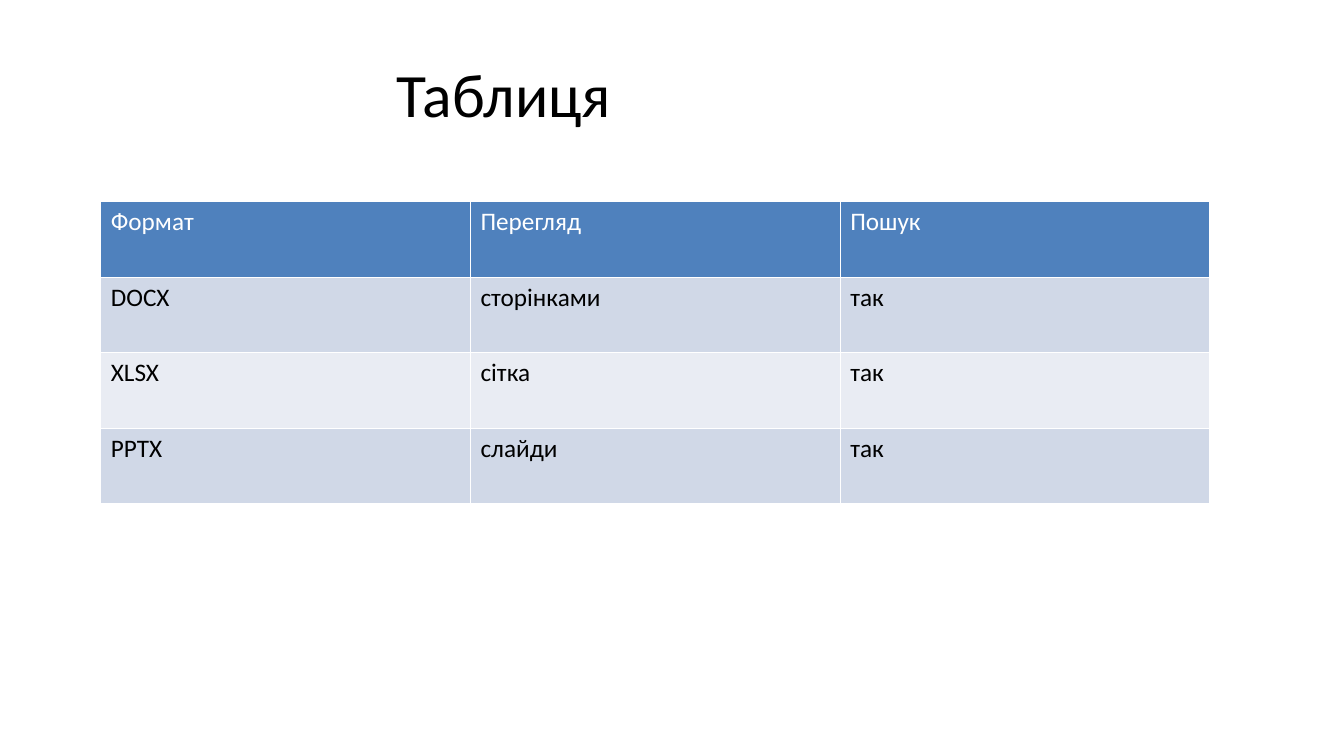
from lxml import etree
from pptx import Presentation
from pptx.dml.color import RGBColor
from pptx.enum.text import MSO_ANCHOR, PP_ALIGN
from pptx.oxml.ns import qn
from pptx.util import Inches, Pt

CENTER = PP_ALIGN.CENTER
MIDDLE = MSO_ANCHOR.MIDDLE

BLACK = RGBColor(0x00, 0x00, 0x00)
WHITE = RGBColor(0xFF, 0xFF, 0xFF)
HEADER_BLUE = RGBColor(0x4F, 0x81, 0xBD)
BAND_DARK = RGBColor(0xD0, 0xD8, 0xE7)
BAND_LIGHT = RGBColor(0xE9, 0xEC, 0xF3)

FORMAT_ROWS = [
    ("Формат", "Перегляд", "Пошук"),
    ("DOCX", "сторінками", "так"),
    ("XLSX", "сітка", "так"),
    ("PPTX", "слайди", "так"),
]


class SlideBuilder:
    font_name = "Calibri"
    title_size = Pt(44)
    cell_size = Pt(18)
    border_width = Pt(1)

    def __init__(self, slide):
        self.slide = slide

    def format_runs(self, paragraph, size, color):
        for run in paragraph.runs:
            run.font.name = self.font_name
            run.font.size = size
            run.font.bold = False
            run.font.color.rgb = color

    def add_title(self, text, left, top, width, height):
        shape = self.slide.shapes.add_textbox(left, top, width, height)
        text_frame = shape.text_frame
        text_frame.word_wrap = True
        text_frame.vertical_anchor = MIDDLE
        text_frame.text = text
        paragraph = text_frame.paragraphs[0]
        paragraph.alignment = CENTER
        self.format_runs(paragraph, self.title_size, BLACK)

    def add_borders(self, cell):
        properties = cell._tc.get_or_add_tcPr()
        for side in ("a:lnL", "a:lnR", "a:lnT", "a:lnB"):
            line = etree.SubElement(properties, qn(side), w=str(self.border_width))
            fill = etree.SubElement(line, qn("a:solidFill"))
            etree.SubElement(fill, qn("a:srgbClr"), val=str(WHITE))

    def add_table(self, rows, left, top, width, height):
        table = self.slide.shapes.add_table(
            len(rows), len(rows[0]), left, top, width, height).table
        for row_index, row in enumerate(rows):
            # Header first, then alternating bands
            if row_index == 0:
                fill_color, text_color = HEADER_BLUE, WHITE
            else:
                fill_color = BAND_DARK if row_index % 2 else BAND_LIGHT
                text_color = BLACK
            for column_index, text in enumerate(row):
                cell = table.cell(row_index, column_index)
                self.add_borders(cell)
                cell.fill.solid()
                cell.fill.fore_color.rgb = fill_color
                cell.text_frame.text = text
                self.format_runs(
                    cell.text_frame.paragraphs[0], self.cell_size, text_color)


def main():
    presentation = Presentation()
    presentation.slide_width = Inches(13.33)
    presentation.slide_height = Inches(7.5)
    builder = SlideBuilder(
        presentation.slides.add_slide(presentation.slide_layouts[6]))

    # Title
    builder.add_title("Таблиця", Inches(0.5), Inches(0.3), Inches(9), Inches(1.25))

    # Table of file formats
    builder.add_table(FORMAT_ROWS, Inches(1), Inches(2), Inches(11), Inches(3))

    presentation.save("out.pptx")


if __name__ == "__main__":
    main()
